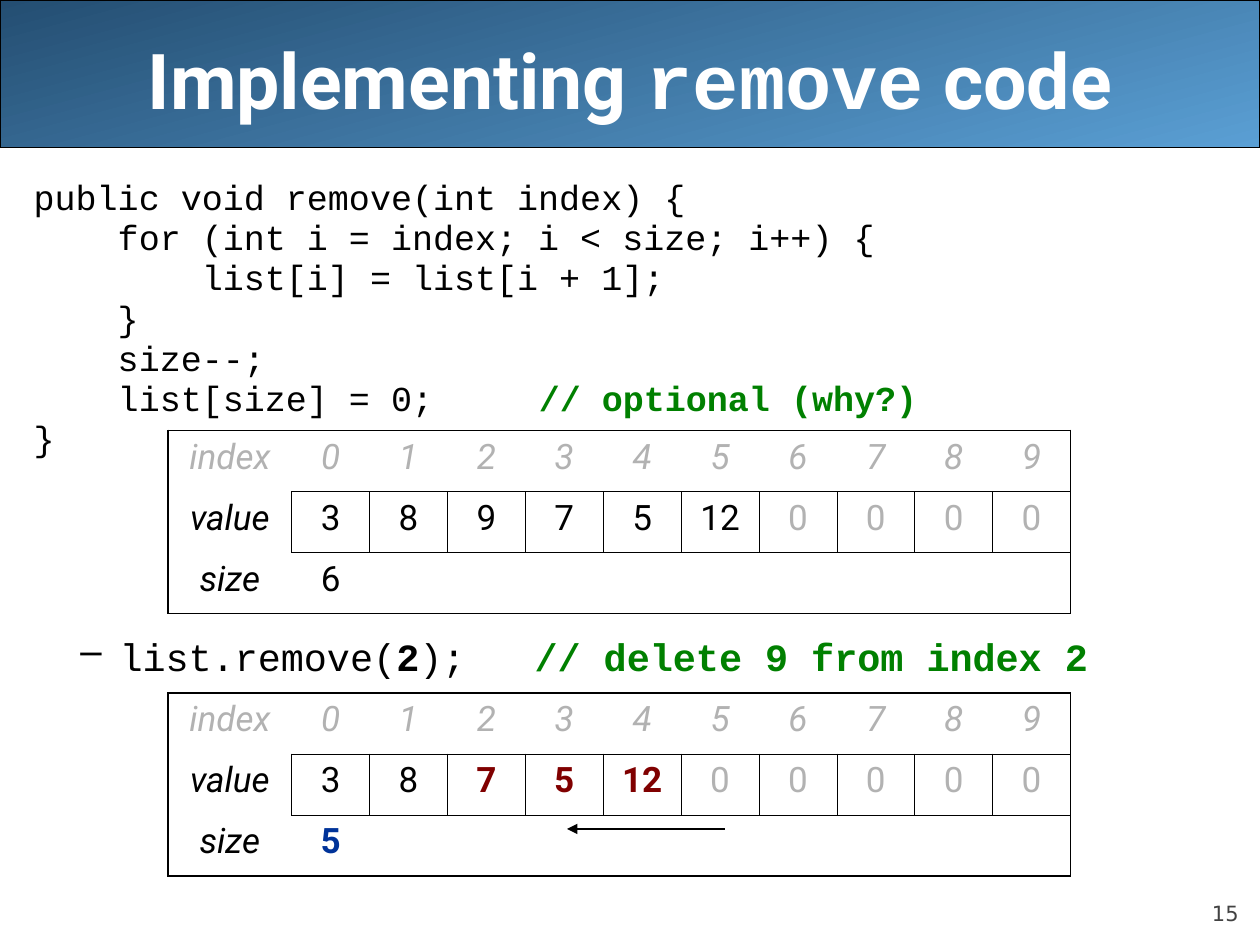
from lxml import etree
from pptx import Presentation
from pptx.dml.color import RGBColor
from pptx.enum.shapes import MSO_CONNECTOR, MSO_SHAPE
from pptx.enum.text import MSO_ANCHOR as ANCHOR, PP_ALIGN as ALIGN
from pptx.oxml.ns import qn
from pptx.util import Cm, Pt

BLACK, GREY, GREEN, RED, BLUE = "000000", "B2B2B2", "008000", "800000", "003399"
SANS, MONO = "Roboto", "Courier New"
NO_STYLE = "{2D5ABB26-0587-4C30-8999-92F81FD0307C}"
OUTER, INNER = 1.08, 0.45
CAPACITY = 10
ARRAY_LEFT, LABEL_W, CELL_W, ROW_H = 3.39, 2.49, 1.57, 1.23

CODE = [
    "public void remove(int index) {",
    "    for (int i = index; i < size; i++) {",
    "        list[i] = list[i + 1];",
    "    }",
    "    size--;",
    "    list[size] = 0;     ",
    "}",
]


def rgb(value):
    return RGBColor.from_string(value)


def add_run(p, text, font, size, color=BLACK, bold=False, italic=False):
    r = p.add_run()
    r.text = text
    f = r.font
    f.name, f.size, f.bold, f.italic = font, Pt(size), bold, italic
    f.color.rgb = rgb(color)


def add_textbox(s, left, top, width, height, anchor=ANCHOR.TOP):
    box = s.shapes.add_textbox(Cm(left), Cm(top), Cm(width), Cm(height))
    tf = box.text_frame
    tf.word_wrap = True
    tf.vertical_anchor = anchor
    return tf


def add_banner(s):
    sp = s.shapes.add_shape(MSO_SHAPE.RECTANGLE, 0, 0, Cm(25.4), Cm(2.97))
    sp.shadow.inherit = False
    sp.fill.gradient()
    sp.fill.gradient_angle = 285
    for stop, color in zip(sp.fill.gradient_stops, ("244E72", "5A9FD4")):
        stop.color.rgb = rgb(color)
    sp.line.color.rgb = rgb(BLACK)
    sp.line.width = Pt(0.75)


def add_title(s):
    p = add_textbox(s, 1.27, 0, 22.86, 3.18, ANCHOR.MIDDLE).paragraphs[0]
    p.alignment = ALIGN.CENTER
    for text, font in (("Implementing ", SANS), ("remove", MONO), (" code", SANS)):
        add_run(p, text, font, 44, "FFFFFF", bold=True)


def set_indent(p, left, first, bullet=None):
    pPr = p._p.get_or_add_pPr()
    pPr.set("marL", str(Cm(left)))
    pPr.set("indent", str(Cm(first)))
    if bullet:
        color = etree.SubElement(pPr, qn("a:buClr"))
        etree.SubElement(color, qn("a:srgbClr"), val=BLACK)
        etree.SubElement(pPr, qn("a:buChar"), char=bullet)


def add_body(s):
    tf = add_textbox(s, 0.43, 3.61, 24.97, 14.4)

    # Method listing
    for i, line in enumerate(CODE):
        p = tf.add_paragraph() if i else tf.paragraphs[0]
        set_indent(p, 0.64, -0.64)
        p.line_spacing = 0.75
        if i:
            p.space_before = Pt(5)
        add_run(p, line, MONO, 20)
        if line.startswith("    list[size]"):
            add_run(p, "// optional (why?)", MONO, 20, GREEN, bold=True)

    # Example call, below the first array
    p = tf.add_paragraph()
    p.level = 1
    set_indent(p, 1.73, -0.79, "–")
    p.line_spacing = 0.8
    p.space_before = Pt(105)
    add_run(p, "list.remove(", MONO, 22)
    add_run(p, "2", MONO, 22, bold=True)
    add_run(p, ");   ", MONO, 22)
    add_run(p, "// delete 9 from index 2", MONO, 22, GREEN, bold=True)


def set_borders(cell, **widths):
    tcPr = cell._tc.get_or_add_tcPr()
    for side in "LRTB":
        width = widths.get(side)
        ln = etree.SubElement(tcPr, qn(f"a:ln{side}"), w=str(Pt(width or 0)))
        if width:
            fill = etree.SubElement(ln, qn("a:solidFill"))
            etree.SubElement(fill, qn("a:srgbClr"), val=BLACK)
        else:
            etree.SubElement(ln, qn("a:noFill"))


def cell_borders(row, col):
    first, last = col == 0, col == CAPACITY
    left = OUTER if first else INNER if row == 1 else None
    right = OUTER if last else INNER if row == 1 else None
    inner = None if first else INNER
    return {"L": left, "R": right,
            "T": OUTER if row == 0 else inner,
            "B": OUTER if row == 2 else inner}


def add_array(s, top, values, size, moved=(), size_color=BLACK):
    width = LABEL_W + CAPACITY * CELL_W
    table = s.shapes.add_table(3, CAPACITY + 1, Cm(ARRAY_LEFT), Cm(top),
                               Cm(width), Cm(3 * ROW_H)).table
    table.first_row = table.horz_banding = False
    table._tbl.tblPr.find(qn("a:tableStyleId")).text = NO_STYLE
    for i, column in enumerate(table.columns):
        column.width = Cm(CELL_W if i else LABEL_W)
    for row in table.rows:
        row.height = Cm(ROW_H)

    # Borders and fill
    for r in range(3):
        for c in range(CAPACITY + 1):
            cell = table.cell(r, c)
            set_borders(cell, **cell_borders(r, c))
            cell.fill.background()

    def write(row, col, text, **style):
        p = table.cell(row, col).text_frame.paragraphs[0]
        p.alignment = ALIGN.CENTER
        add_run(p, str(text), SANS, 20, **style)

    # Row labels, indexes, values and size
    for row, (label, color) in enumerate((("index", GREY), ("value", BLACK), ("size", BLACK))):
        write(row, 0, label, color=color, italic=True)
    for i in range(CAPACITY):
        write(0, i + 1, i, color=GREY, italic=True)
        value = values[i] if i < size else 0
        color = RED if i in moved else BLACK if i < size else GREY
        write(1, i + 1, value, color=color, bold=i in moved)
    write(2, 1, size, color=size_color, bold=size_color != BLACK)


def add_shift_arrow(s):
    line = s.shapes.add_connector(MSO_CONNECTOR.STRAIGHT, Cm(14.61), Cm(16.71),
                                  Cm(11.43), Cm(16.71))
    line.line.color.rgb = rgb(BLACK)
    line.line.width = Pt(0.75)
    etree.SubElement(line.line._get_or_add_ln(), qn("a:tailEnd"), type="triangle")
    etree.SubElement(line._element.spPr, qn("a:effectLst"))


def add_page_number(s):
    tf = add_textbox(s, 22.86, 17.65, 2.11, 1.02, ANCHOR.BOTTOM)
    tf.margin_left = tf.margin_right = tf.margin_top = tf.margin_bottom = 0
    p = tf.paragraphs[0]
    p.alignment = ALIGN.RIGHT
    add_run(p, "15", "DejaVu Sans", 12, "424242")


def main():
    prs = Presentation()
    prs.slide_width, prs.slide_height = Cm(25.4), Cm(19.05)
    s = prs.slides.add_slide(prs.slide_layouts[6])
    add_banner(s)
    add_page_number(s)
    add_title(s)
    add_body(s)
    add_array(s, 8.68, [3, 8, 9, 7, 5, 12], 6)
    add_array(s, 13.97, [3, 8, 7, 5, 12], 5, moved=(2, 3, 4), size_color=BLUE)
    add_shift_arrow(s)
    prs.save("out.pptx")


if __name__ == "__main__":
    main()
